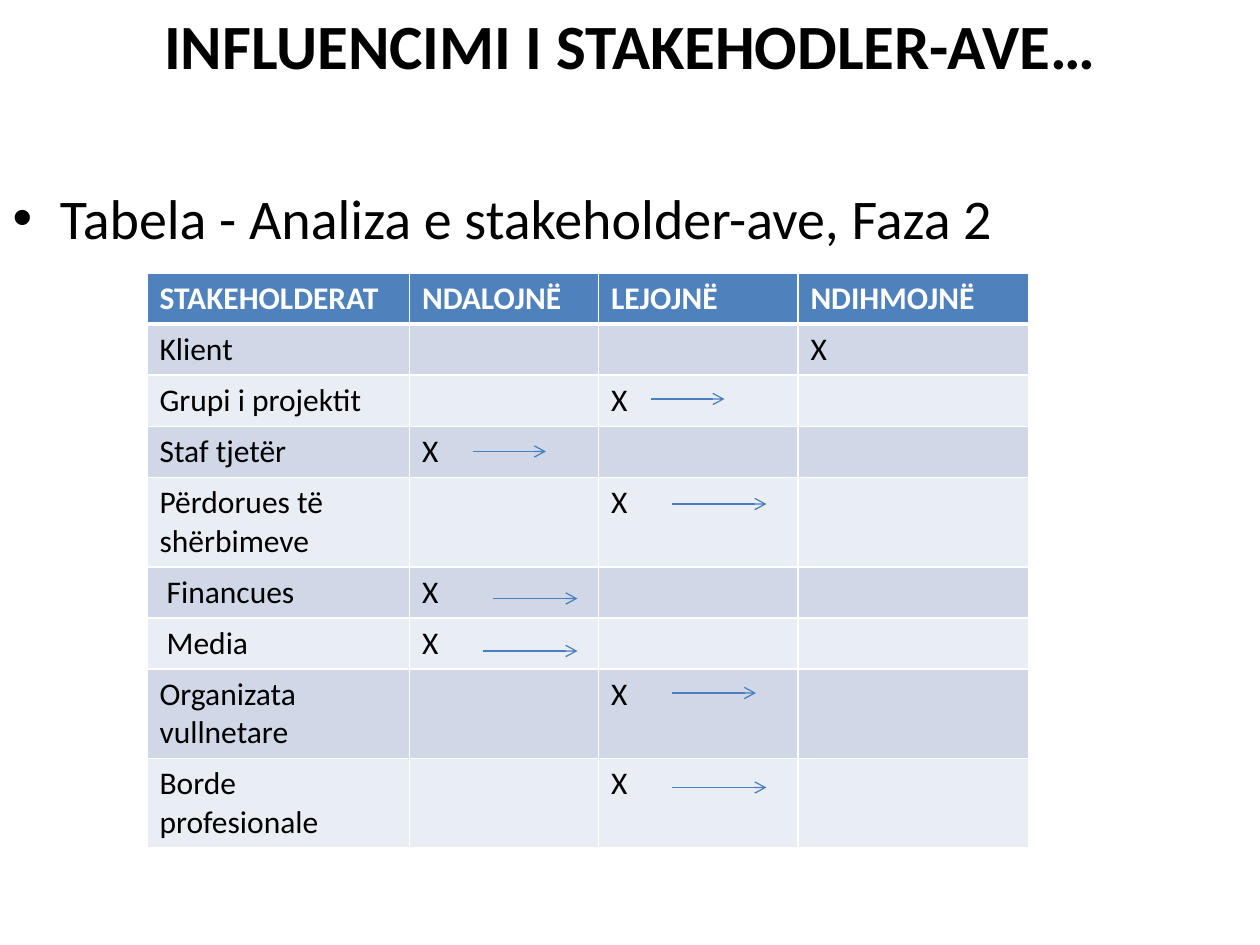
"""Build the slide on influencing stakeholders, with its phase 2 analysis table."""
from typing import Any, NamedTuple

from lxml.etree import SubElement
from pptx import Presentation
from pptx.dml.color import RGBColor
from pptx.enum.shapes import MSO_CONNECTOR as CONN
from pptx.enum.text import MSO_ANCHOR as ANCHOR, MSO_AUTO_SIZE as AUTO, PP_ALIGN as ALIGN
from pptx.oxml.ns import qn
from pptx.util import Pt

COLORS = {"text": "000000", "white": "FFFFFF", "header": "4F81BD",
          "odd": "D0D8E8", "even": "E9EDF4", "arrow": "4B7EBC"}
HEADERS = ("STAKEHOLDERAT", "NDALOJNË", "LEJOJNË", "NDIHMOJNË")
COL_WIDTHS = (150, 108, 114, 132)
ROW_HEIGHT = 29.2
TABLE_LEFT, TABLE_TOP = 84, 156


class Stakeholder(NamedTuple):
    name: str
    position: int


class Arrow(NamedTuple):
    start: float
    end: float
    y: float


class Heading(NamedTuple):
    text: str
    top: float
    height: float
    align: Any
    size: float
    bold: bool


STAKEHOLDERS = (
    Stakeholder("Klient", 3),
    Stakeholder("Grupi i projektit", 2),
    Stakeholder("Staf tjetër", 1),
    Stakeholder("Përdorues të shërbimeve", 2),
    Stakeholder(" Financues", 1),
    Stakeholder(" Media", 1),
    Stakeholder("Organizata vullnetare", 2),
    Stakeholder("Borde profesionale", 2),
)
ARROWS = (
    Arrow(372, 414, 228),
    Arrow(270, 312, 258),
    Arrow(384, 438, 288),
    Arrow(282, 330, 342),
    Arrow(276, 330, 372),
    Arrow(384, 432, 396),
    Arrow(384, 438, 450),
)
HEADINGS = (
    Heading("INFLUENCIMI I STAKEHODLER-AVE…", 0, 52, ALIGN.CENTER, 36, True),
    Heading("Tabela - Analiza e stakeholder-ave, Faza 2", 101.4, 46, ALIGN.LEFT, 32, False),
)


def rgb(name: str) -> RGBColor:
    return RGBColor.from_string(COLORS[name])


def apply(target: Any, values: dict[str, Any]) -> None:
    for name, value in values.items():
        setattr(target, name, value)


def write(p: Any, text: str, size: float, bold: bool, color: str = "text") -> None:
    r = p.add_run()
    r.text = text
    apply(r.font, {"name": "Calibri", "size": Pt(size), "bold": bold})
    r.font.color.rgb = rgb(color)


def fill_placeholder(sp: Any, heading: Heading) -> None:
    apply(sp, {"left": Pt(0), "top": Pt(heading.top),
               "width": Pt(720), "height": Pt(heading.height)})
    tf = sp.text_frame
    apply(tf, {"word_wrap": True, "auto_size": AUTO.NONE, "vertical_anchor": ANCHOR.TOP})
    p = tf.paragraphs[0]
    apply(p, {"alignment": heading.align, "space_before": Pt(0)})
    write(p, heading.text, heading.size, heading.bold)


def add_borders(cell: Any, bottom: float) -> None:
    tc_pr = cell._tc.get_or_add_tcPr()
    for side, width in (("L", 1), ("R", 1), ("T", 1), ("B", bottom)):
        ln = SubElement(tc_pr, qn(f"a:ln{side}"), w=str(Pt(width)))
        SubElement(SubElement(ln, qn("a:solidFill")), qn("a:srgbClr"), val=COLORS["white"])


def add_stakeholder_table(s: Any) -> None:
    rows = [HEADERS]
    for holder in STAKEHOLDERS:
        marks = ["X" if c == holder.position else "" for c in range(1, len(HEADERS))]
        rows.append((holder.name, *marks))
    table = s.shapes.add_table(len(rows), len(HEADERS), Pt(TABLE_LEFT), Pt(TABLE_TOP),
                               Pt(sum(COL_WIDTHS)), Pt(ROW_HEIGHT * len(rows))).table
    for column, width in zip(table.columns, COL_WIDTHS):
        column.width = Pt(width)
    for i, row in enumerate(rows):
        table.rows[i].height = Pt(ROW_HEIGHT)
        header = i == 0
        shade = "header" if header else "odd" if i % 2 else "even"
        for j, text in enumerate(row):
            cell = table.cell(i, j)
            add_borders(cell, 3 if header else 1)
            cell.fill.solid()
            cell.fill.fore_color.rgb = rgb(shade)
            p = cell.text_frame.paragraphs[0]
            p.font.size = Pt(18)
            if text:
                write(p, text, 18, header, "white" if header else "text")


def add_arrow(s: Any, arrow: Arrow) -> None:
    sp = s.shapes.add_connector(CONN.STRAIGHT, Pt(arrow.start), Pt(arrow.y),
                                Pt(arrow.end), Pt(arrow.y))
    sp.line.color.rgb = rgb("arrow")
    sp.line.width = Pt(0.75)
    SubElement(sp.line._get_or_add_ln(), qn("a:tailEnd"), type="arrow")
    SubElement(sp._element.spPr, qn("a:effectLst"))


def main() -> None:
    prs = Presentation()
    apply(prs, {"slide_width": Pt(720), "slide_height": Pt(540)})
    s = prs.slides.add_slide(prs.slide_layouts[1])
    for sp, heading in zip(s.placeholders, HEADINGS):
        fill_placeholder(sp, heading)
    add_stakeholder_table(s)
    for arrow in ARROWS:
        add_arrow(s, arrow)
    prs.save("out.pptx")


if __name__ == "__main__":
    main()
